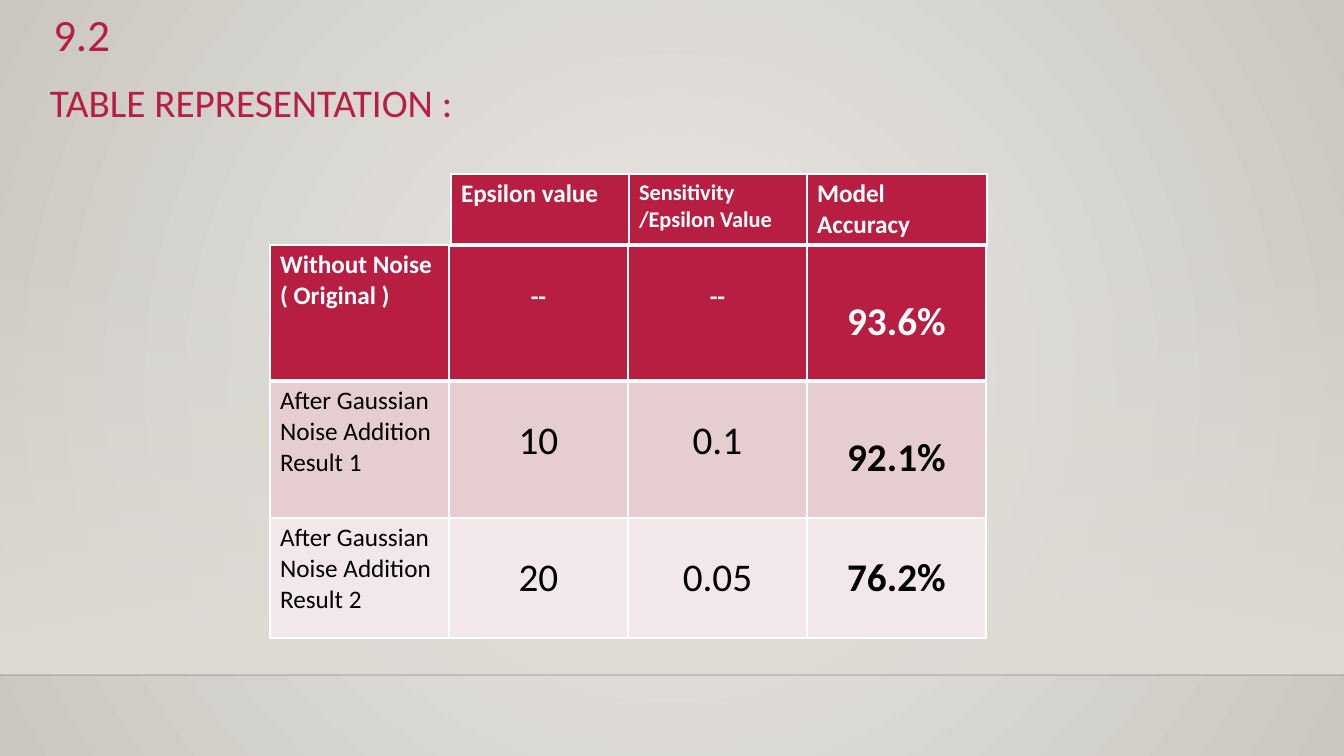
import dataclasses

import lxml.etree
import pptx
import pptx.dml.color
import pptx.enum.dml
import pptx.enum.shapes
import pptx.enum.text
import pptx.oxml.ns
import pptx.util

WIDTH, HEIGHT = 1344, 756
SCALE = 12192000 / WIDTH
INSET = 5
LEFT, CENTER, RIGHT = (getattr(pptx.enum.text.PP_ALIGN, n) for n in ("LEFT", "CENTER", "RIGHT"))


@dataclasses.dataclass(frozen=True)
class Theme:
    """Colours, font and type sizes of the slide."""
    font: str = "Calibri"
    accent: str = "B71E42"
    light: str = "FFFFFF"
    dark: str = "000000"
    band: str = "E6CDCF"
    pale: str = "F3E8E9"
    glow: str = "ECEAE7"
    edge: str = "CAC7C1"
    wall: str = "DFDBD5"
    floor: str = "000001"
    number: int = 32
    large: int = 28
    body: int = 18
    small: int = 16
    thin: int = 1
    thick: int = 3


THEME = Theme()


def px(n):
    """Turn px into EMU."""
    return pptx.util.Emu(round(n * SCALE))


def rgb(value):
    """Return a colour from its hex value."""
    return pptx.dml.color.RGBColor.from_string(value)


def sub(parent, tag, **attrs):
    """Append a DrawingML element."""
    return lxml.etree.SubElement(parent, pptx.oxml.ns.qn("a:" + tag), attrs)


def set_alpha(parent, index, percent):
    """Set the opacity of one colour under an element."""
    colors = list(parent.iter(pptx.oxml.ns.qn("a:srgbClr")))
    sub(colors[index], "alpha", val=str(percent * 1000))


def set_gradient(fill, first, last):
    """Give a fill a gradient of two colours, running downwards."""
    fill.gradient()
    fill.gradient_angle = 270
    for stop, color, position in zip(fill.gradient_stops, (first, last), (0, 1)):
        stop.color.rgb = rgb(color)
        stop.position = position


def write(tf, text, size, color, align=LEFT, bold=False):
    """Write lines as paragraphs of one format."""
    tf.text = text
    tf.word_wrap = True
    for p in tf.paragraphs:
        p.alignment = align
        for r in p.runs:
            r.font.color.rgb = rgb(color)
            formats = {"name": THEME.font, "size": pptx.util.Pt(size), "bold": bold}
            for name, value in formats.items():
                setattr(r.font, name, value)


def add_backdrop(s, horizon):
    """Paint the round glow, the wall above the horizon and the floor line."""
    set_gradient(s.background.fill, THEME.glow, THEME.edge)
    lin = next(s.background._cSld.iter(pptx.oxml.ns.qn("a:lin")))
    grad = lin.getparent()
    grad.remove(lin)
    sub(sub(grad, "path", path="circle"), "fillToRect", l="50000", t="50000", r="50000", b="50000")

    top = 223
    wall = s.shapes.add_shape(pptx.enum.shapes.MSO_SHAPE.RECTANGLE,
                              0, px(top), px(WIDTH), px(horizon - top))
    wall.shadow.inherit = False
    wall.line.fill.background()
    set_gradient(wall.fill, THEME.wall, THEME.wall)
    set_alpha(wall._element.spPr, 0, 0)

    floor = s.shapes.add_connector(pptx.enum.shapes.MSO_CONNECTOR.STRAIGHT,
                                   0, px(horizon), px(WIDTH), px(horizon))
    floor.line.color.rgb = rgb(THEME.floor)
    floor.line.width = pptx.util.Pt(THEME.thin)
    set_alpha(floor._element.spPr, 0, 20)
    sub(floor._element.spPr, "effectLst")


def add_heading(s, box, text, size, align=LEFT):
    """Add a line of heading text in a box."""
    tf = s.shapes.add_textbox(*map(px, box)).text_frame
    tf.margin_top = px(INSET + 2)
    write(tf, text, size, THEME.accent, align)


def set_borders(cell, bottom):
    """Draw white borders around a cell, with a bottom line of its own width."""
    tcPr = cell._tc.get_or_add_tcPr()
    widths = {"lnL": THEME.thin, "lnR": THEME.thin, "lnT": THEME.thin, "lnB": bottom}
    for i, (tag, width) in enumerate(widths.items()):
        ln = sub(tcPr, tag, w=str(pptx.util.Pt(width)))
        sub(sub(ln, "solidFill"), "srgbClr", val=THEME.light)
        tcPr.insert(i, ln)


def add_grid(s, left, top, widths, heights, rows):
    """Add a table of rows, each a fill, text colour, bottom line width and cells."""
    box = (left, top, sum(widths), sum(heights))
    table = s.shapes.add_table(len(rows), len(widths), *map(px, box)).table
    table.first_row = table.horz_banding = False
    for column, width in zip(table.columns, widths):
        column.width = px(width)
    for row, height, (fill, color, bottom, cells) in zip(table.rows, heights, rows):
        row.height = px(height)
        for cell, (text, size, bold, align, drop) in zip(row.cells, cells):
            cell.fill.solid()
            cell.fill.fore_color.rgb = rgb(fill)
            cell.margin_top = px(INSET + drop)
            write(cell.text_frame, text, size, color, align, bold)
            set_borders(cell, bottom)


def label(text, bold=False, size=THEME.body):
    """Return a left-aligned cell."""
    return text, size, bold, LEFT, 0


def value(text, bold=False, size=THEME.large, drop=31):
    """Return a centred cell whose text starts below the top."""
    return text, size, bold, CENTER, drop


def add_results(s, left, top):
    """Add the column heads and the results table under them."""
    t, column, head, low = THEME, 179, 71, 48
    heads = [label("Epsilon value", True),
             label("Sensitivity\n/Epsilon Value", True, t.small),
             label("Model Accuracy", True)]
    dash = value("--", True, t.body)
    noise = "After Gaussian Noise Addition\nResult "
    results = [
        (t.accent, t.light, t.thick,
         [label("Without Noise\n( Original )", True), dash, dash, value("93.6%", True, drop=low)]),
        (t.band, t.dark, t.thin,
         [label(noise + "1"), value("10"), value("0.1"), value("92.1%", True, drop=low)]),
        (t.pale, t.dark, t.thin,
         [label(noise + "2"), value("20"), value("0.05"), value("76.2%", True)]),
    ]
    add_grid(s, left, top + head, [column] * 4, [136, 137, 120], results)
    add_grid(s, left + column + 2, top, [178, 178, 180], [head],
             [(t.accent, t.light, t.thick, heads)])


def main():
    """Build and save the slide."""
    prs = pptx.Presentation()
    prs.slide_width, prs.slide_height = px(WIDTH), px(HEIGHT)
    s = prs.slides.add_slide(prs.slide_layouts[6])
    add_backdrop(s, 675)
    add_heading(s, (40, 71, 963, 55), "TABLE REPRESENTATION :", THEME.large)
    add_results(s, 270, 174)
    add_heading(s, (40, 0, 80, 60), "9.2", THEME.number, RIGHT)
    prs.save("out.pptx")


if __name__ == "__main__":
    main()
